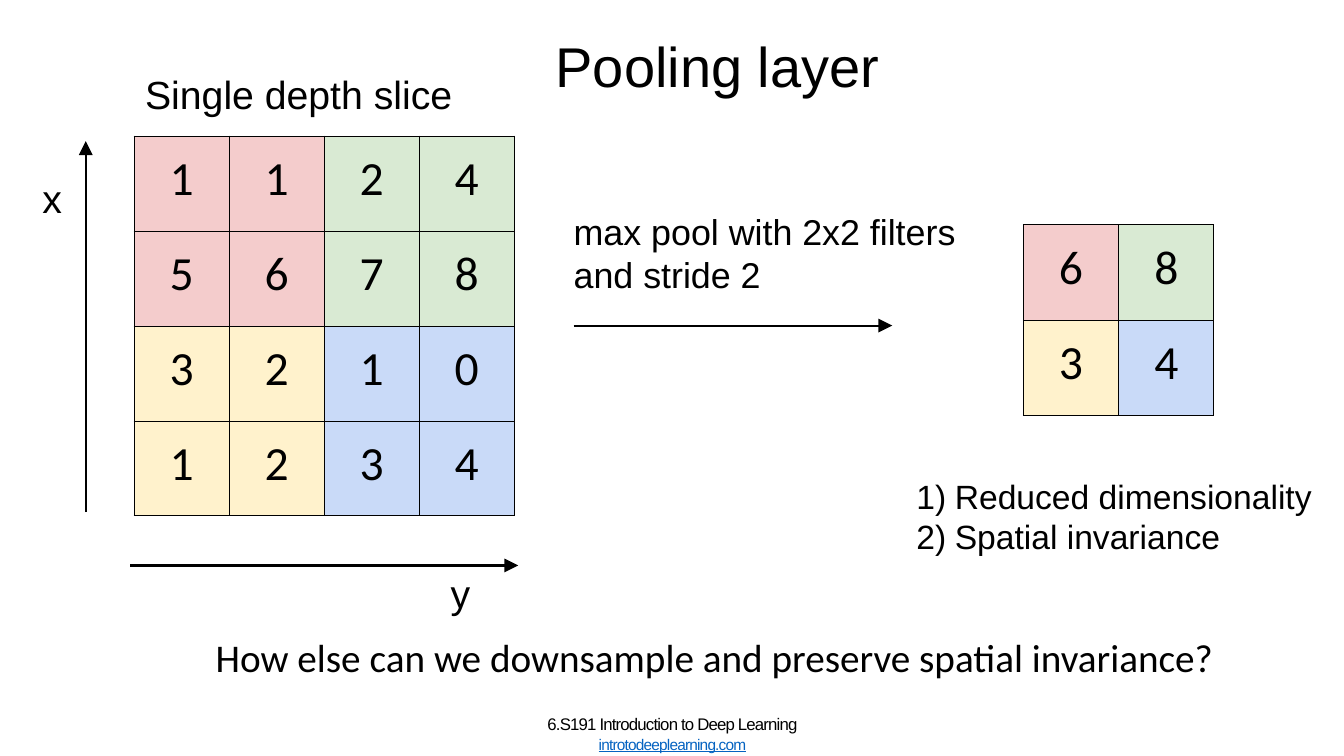
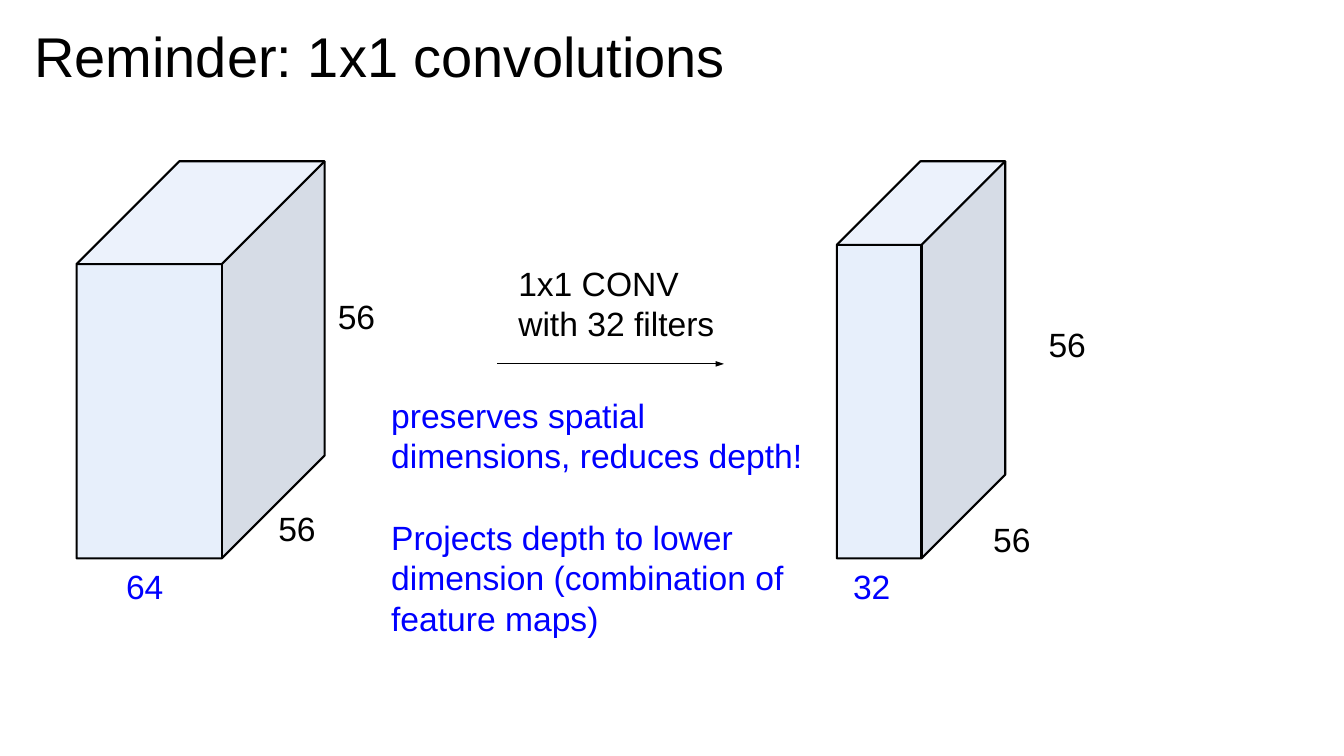
from lxml import etree
from pptx import Presentation
from pptx.dml.color import RGBColor
from pptx.enum.shapes import MSO_CONNECTOR
from pptx.enum.text import MSO_ANCHOR, MSO_AUTO_SIZE, PP_ALIGN
from pptx.oxml.ns import qn
from pptx.util import Pt

PX = 9144  # 100 px to the inch
LEFT, CENTER = PP_ALIGN.LEFT, PP_ALIGN.CENTER
TOP = MSO_ANCHOR.TOP
NO_AUTOFIT = MSO_AUTO_SIZE.NONE
STRAIGHT = MSO_CONNECTOR.STRAIGHT
TITLE_ONLY = 5

rgb = RGBColor.from_string
BLACK, BLUE, LINK = "000000", "0000FF", "0563C1"
FRONT, SIDE, LID = "C8DAF7", "A0AEC6", "D3E1F9"
QUADRANTS = [["F4CCCC", "D9EAD3"], ["FFF2CC", "C9DAF8"]]
BODY, DIGITS = "Arial", "Calibri"


def set_text(shape, box, lines, size, color=BLACK, font=BODY, align=LEFT,
             inset=0, inset_top=None, inset_left=None):
    """Place a text shape, fill it with one paragraph per line, return the paragraphs."""
    shape.left, shape.top, shape.width, shape.height = [value * PX for value in box]
    frame = shape.text_frame
    frame.word_wrap = True
    frame.auto_size = NO_AUTOFIT
    frame.vertical_anchor = TOP
    frame.margin_right = frame.margin_bottom = inset * PX
    frame.margin_left = (inset if inset_left is None else inset_left) * PX
    frame.margin_top = (inset if inset_top is None else inset_top) * PX
    frame.text = "\n".join(lines)
    for paragraph in frame.paragraphs:
        paragraph.alignment = align
        paragraph.font.name = font
        paragraph.font.size = Pt(size)
        paragraph.font.color.rgb = rgb(color)
    return frame.paragraphs


def add_line(slide, start, end, width, head=None):
    """Draw a straight black line; head gives the width and length of an arrowhead."""
    ends = [value * PX for value in (*start, *end)]
    line = slide.shapes.add_connector(STRAIGHT, *ends)
    line.line.color.rgb = rgb(BLACK)
    line.line.width = Pt(width)
    if head:
        etree.SubElement(line.line._get_or_add_ln(), qn("a:tailEnd"),
                         type="triangle", w=head[0], len=head[1])
    etree.SubElement(line._element.spPr, qn("a:effectLst"))


presentation = Presentation()
presentation.slide_width = 1333 * PX
presentation.slide_height = 750 * PX

# Slides and titles
slides = []
for title, box, align in [
    ("Pooling layer", (523, 30, 377, 69), CENTER),
    ("Reminder: 1x1 convolutions", (34, 20, 689, 69), LEFT),
]:
    slide = presentation.slides.add_slide(presentation.slide_layouts[TITLE_ONLY])
    set_text(slide.shapes.title, box, [title], 40, align=align, inset_top=1)
    slides.append(slide)
pooling, convolutions = slides

# Pooling: input and output grids
for left, top, side, rows in [
    (133, 135, 377, ["1124", "5678", "3210", "1234"]),
    (1015, 223, 189, ["68", "34"]),
]:
    count = len(rows)
    table = pooling.shapes.add_table(
        count, count, left * PX, top * PX, side * PX, side * PX).table
    table.first_row = table.horz_banding = False
    for row, digits in enumerate(rows):
        for column, digit in enumerate(digits):
            cell = table.cell(row, column)
            cell.margin_left = cell.margin_right = 14 * PX
            cell.margin_top = cell.margin_bottom = 14 * PX
            properties = cell._tc.get_or_add_tcPr()
            for edge in ("a:lnL", "a:lnR", "a:lnT", "a:lnB"):
                border = etree.SubElement(properties, qn(edge), w=str(Pt(0.75)))
                fill = etree.SubElement(border, qn("a:solidFill"))
                etree.SubElement(fill, qn("a:srgbClr"), val=BLACK)
            cell.fill.solid()
            cell.fill.fore_color.rgb = rgb(QUADRANTS[row * 2 // count][column * 2 // count])
            cell.text = digit
            paragraph = cell.text_frame.paragraphs[0]
            paragraph.alignment = CENTER
            paragraph.font.name = DIGITS
            paragraph.font.size = Pt(34)
            paragraph.font.color.rgb = rgb(BLACK)

# Pooling: axes and step arrow
for start, end in [
    ((85, 508), (85, 140)),
    ((129, 561), (514, 561)),
    ((569, 323), (885, 323)),
]:
    add_line(pooling, start, end, 1.5, head=("lg", "lg"))

# Pooling: labels
for text, box, size in [
    ("Single depth slice", (130, 56, 407, 88), 28),
    ("x", (28, 159, 61, 73), 28),
    ("y", (433, 551, 61, 57), 28),
    ("max pool with 2x2 filters and stride 2", (555, 194, 416, 113), 25.6),
]:
    set_text(pooling.shapes.add_textbox(0, 0, 0, 0), box, [text], size, inset=14)

# Pooling: question
set_text(pooling.shapes.add_textbox(0, 0, 0, 0), (213, 627, 1029, 49),
         ["How else can we downsample and preserve spatial invariance?"], 28,
         font=DIGITS, inset_top=1, inset_left=1)

# Pooling: numbered benefits
for paragraph in set_text(pooling.shapes.add_textbox(0, 0, 0, 0), (908, 471, 416, 82),
                          ["Reduced dimensionality", "Spatial invariance"], 24,
                          inset_top=1):
    properties = paragraph._p.get_or_add_pPr()
    properties.set("marL", str(39 * PX))
    properties.set("indent", str(-38 * PX))
    numbering = etree.Element(qn("a:buAutoNum"), type="arabicParenR")
    properties.find(qn("a:defRPr")).addprevious(numbering)

# Pooling: footer
course, website = set_text(
    pooling.shapes.add_textbox(0, 0, 0, 0), (541, 708, 252, 41),
    ["6.S191 Introduction to Deep Learning", "introtodeeplearning.com"], 12, align=CENTER)
course.line_spacing = Pt(14.2)
website.space_before = Pt(0.8)
website.font.size = Pt(11)
website.font.color.rgb = rgb(LINK)
website.font.underline = True
for paragraph in (course, website):
    paragraph._p.pPr.find(qn("a:defRPr")).set("spc", "-60")

# Convolutions: feature volumes, translucent faces under a black outline
BACK_TOP, BOTTOM = 160, 554
for left, width, depth in [(76, 144, 102), (830, 84, 83)]:
    edge, right = left + width, left + width + depth
    front_top, back_bottom = BACK_TOP + depth, BOTTOM - depth
    front_left, front_right = (left, front_top), (edge, front_top)
    back_left, back_right = (left + depth, BACK_TOP), (right, BACK_TOP)
    base_left, base_right = (left, BOTTOM), (edge, BOTTOM)
    base_back = (right, back_bottom)
    for points, color, closed in [
        ([front_left, front_right, base_right, base_left], FRONT, True),
        ([base_right, front_right, back_right, base_back], SIDE, True),
        ([front_right, front_left, back_left, back_right], LID, True),
        ([front_left, back_left, back_right, base_back, base_right, base_left], None, True),
        ([front_left, front_right, back_right], None, False),
    ]:
        builder = convolutions.shapes.build_freeform(*points[0], scale=PX)
        builder.add_line_segments(points[1:], close=closed)
        face = builder.convert_to_shape()
        face.shadow.inherit = False
        if color:
            face.fill.solid()
            face.fill.fore_color.rgb = rgb(color)
            fill_color = face._element.spPr.find(qn("a:solidFill"))[0]
            etree.SubElement(fill_color, qn("a:alpha"), val="43000")
            face.line.fill.background()
        else:
            face.fill.background()
            face.line.color.rgb = rgb(BLACK)
            face.line.width = Pt(1.5)
    add_line(convolutions, front_right, base_right, 1.5)

# Convolutions: volume dimensions
for text, left, top, color in [
    ("64", 123, 559, BLUE), ("56", 274, 502, BLACK), ("56", 333, 292, BLACK),
    ("32", 844, 559, BLUE), ("56", 983, 513, BLACK), ("56", 1038, 319, BLACK),
]:
    set_text(convolutions.shapes.add_textbox(0, 0, 0, 0), (left, top, 41, 42),
             [text], 24, color, inset_top=2, inset_left=2)

# Convolutions: step arrow and explanations
add_line(convolutions, (493, 361), (718, 361), 0.75, head=("sm", "med"))
for lines, box, color in [
    (["1x1 CONV", "with 32 filters"], (512, 259, 198, 83), BLACK),
    (["preserves spatial dimensions, reduces depth!"], (386, 390, 411, 83), BLUE),
    (["Projects depth to lower dimension (combination of feature maps)"],
     (386, 511, 393, 124), BLUE),
]:
    for paragraph in set_text(convolutions.shapes.add_textbox(0, 0, 0, 0), box,
                              lines, 24, color, inset_top=1, inset_left=2):
        paragraph.line_spacing = 1.01

presentation.save("out.pptx")
